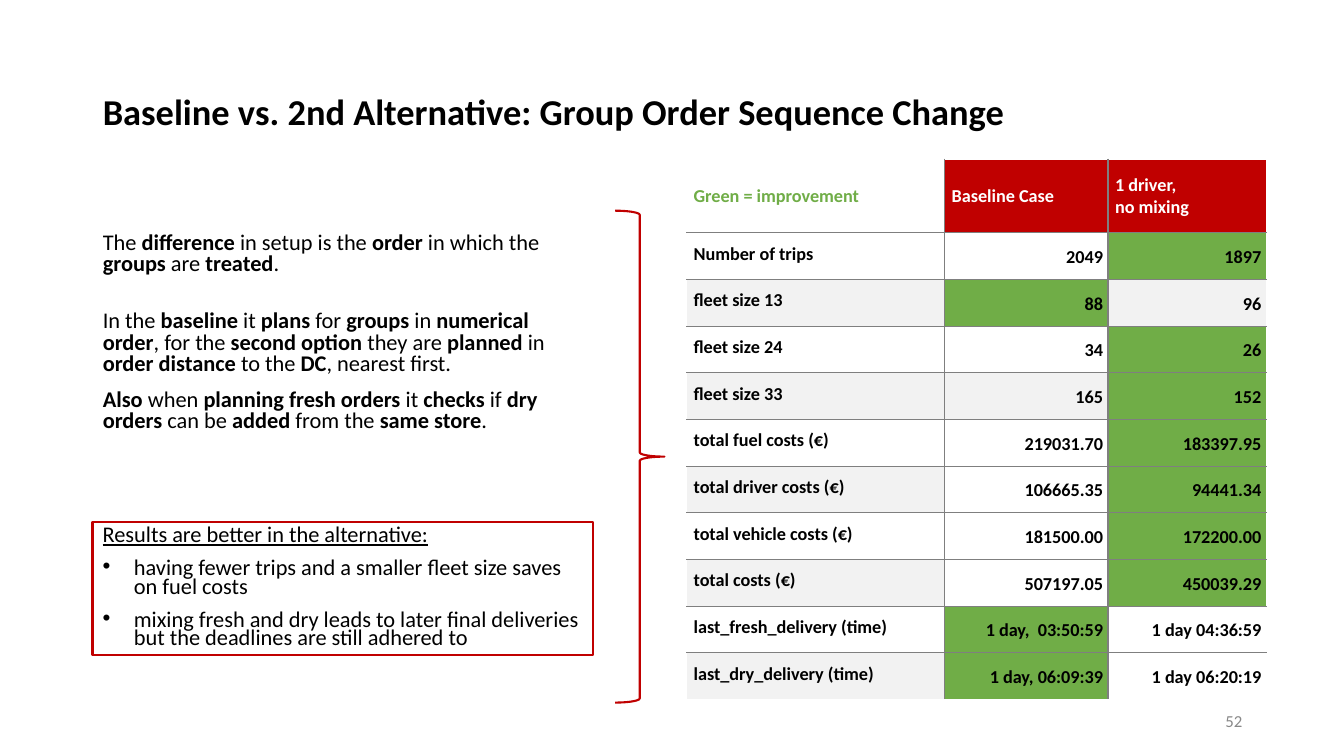
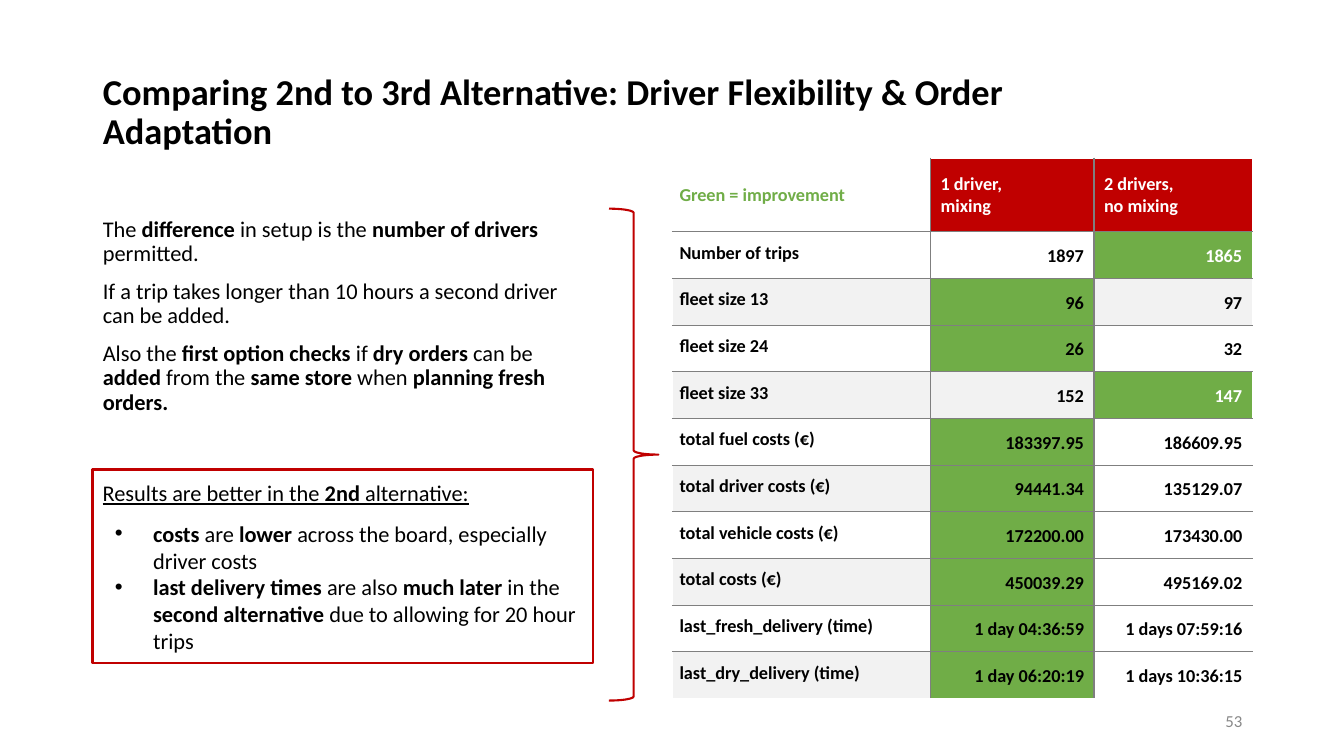
from lxml import etree
from pptx import Presentation
from pptx.dml.color import RGBColor
from pptx.enum import shapes, text
from pptx.oxml import ns
from pptx.util import Inches, Pt

FONT = "Calibri"
BLACK, WHITE, RED, GREEN = "000000", "FFFFFF", "C00000", "70AD47"
RULE, STRIPE, PAGE_GREY = "7F7F7F", "F2F2F2", "888888"
LEFT, TEXT_WIDTH = 0.92, 4.96
COLUMNS = (2.56, 1.62, 1.57)
HEADER_HEIGHT, ROWS_HEIGHT = 0.73, 4.63
LABELS = (
    "Number of trips", "fleet size 13", "fleet size 24", "fleet size 33",
    "total fuel costs (€)", "total driver costs (€)",
    "total vehicle costs (€)", "total costs (€)",
    "last_fresh_delivery (time)", "last_dry_delivery (time)",
)
STRIPED_VALUES = ("fleet size 13", "fleet size 33")


def rgb(value):
    return RGBColor.from_string(value)


def box(*lengths):
    return [Inches(n) for n in lengths]


def sub(parent, tag, **attrs):
    return etree.SubElement(parent, ns.qn(tag), attrs)


def place(sp, *lengths):
    sp.left, sp.top, sp.width, sp.height = box(*lengths)


def add_runs(p, marked, size, color=BLACK, bold=False, underline=False):
    """Add runs to p; pieces between ** are bold and \\n breaks the line."""
    for i, piece in enumerate(marked.split("**")):
        for j, line in enumerate(piece.split("\n")):
            if j:
                p.add_line_break()
            if line:
                r = p.add_run()
                r.text = line
                r.font.name, r.font.size = FONT, Pt(size)
                r.font.bold = bold or i % 2 == 1
                r.font.underline = underline
                r.font.color.rgb = rgb(color)


def set_bullet(p, indent=None):
    """Set a hanging bullet, or remove the inherited one."""
    pPr = p._p.get_or_add_pPr()
    margin, hang = indent or (0, 0)
    pPr.set("marL", str(Inches(margin)))
    pPr.set("indent", str(Inches(hang)))
    if indent:
        sub(sub(pPr, "a:buClr"), "a:srgbClr", val=BLACK)
        sub(pPr, "a:buFont", typeface="Arial")
        sub(pPr, "a:buChar", char="•")
    else:
        sub(pPr, "a:buNone")


def add_paragraph(tf, i, marked, spacing, before=0, indent=None, **style):
    p = tf.paragraphs[0] if i == 0 else tf.add_paragraph()
    set_bullet(p, indent)
    p.alignment = text.PP_ALIGN.LEFT
    p.line_spacing, p.space_before = spacing, Pt(before)
    add_runs(p, marked, **style)


def setup_frame(tf, anchor):
    tf.word_wrap, tf.auto_size = True, text.MSO_AUTO_SIZE.NONE
    tf.vertical_anchor = anchor
    return tf


def add_title(s, title):
    sp = s.shapes.title
    place(sp, LEFT, 0.4, 10.72, 1.45)
    tf = setup_frame(sp.text_frame, text.MSO_ANCHOR.MIDDLE)
    add_paragraph(tf, 0, title, 0.9, size=26, bold=True)


def add_body(s, top, height, spacing, paragraphs):
    """Fill the body placeholder from (space before, text) pairs."""
    sp = s.placeholders[1]
    place(sp, LEFT, top, TEXT_WIDTH, height)
    tf = setup_frame(sp.text_frame, text.MSO_ANCHOR.TOP)
    for i, (before, marked) in enumerate(paragraphs):
        add_paragraph(tf, i, marked, spacing, before, size=16)


def add_outline(s, kind, line_width, *lengths):
    sp = s.shapes.add_shape(kind, *box(*lengths))
    sp.shadow.inherit = False
    sp.fill.background()
    sp.line.color.rgb, sp.line.width = rgb(RED), Pt(line_width)
    return sp


def add_results(s, top, height, spacing, heading, indent, bullets):
    """Draw the framed findings; bullets are (space before, text) pairs."""
    sp = add_outline(s, shapes.MSO_SHAPE.RECTANGLE, 1.75, LEFT, top, TEXT_WIDTH, height)
    tf = setup_frame(sp.text_frame, text.MSO_ANCHOR.MIDDLE)
    add_paragraph(tf, 0, heading, spacing, size=16, underline=True)
    for i, (before, marked) in enumerate(bullets, 1):
        add_paragraph(tf, i, marked, spacing, before, indent, size=16)


def set_borders(cell, sides):
    tcPr = cell._tc.get_or_add_tcPr()
    for side in sides:
        ln = sub(tcPr, "a:ln" + side, w=str(Pt(1)))
        sub(sub(ln, "a:solidFill"), "a:srgbClr", val=RULE)


def fill_cell(cell, content, fill, color, margins, header=False, number=False):
    cell.margin_left, cell.margin_right = box(*margins)
    cell.margin_top = cell.margin_bottom = Inches(0.1)
    cell.vertical_anchor = text.MSO_ANCHOR.MIDDLE if header else text.MSO_ANCHOR.TOP
    if fill:
        cell.fill.solid()
        cell.fill.fore_color.rgb = rgb(fill)
    else:
        cell.fill.background()
    p = cell.text_frame.paragraphs[0]
    if number:
        p.alignment, p.line_spacing = text.PP_ALIGN.RIGHT, 1.15
    add_runs(p, content, 13, color, bold=True)


def add_comparison(s, left, top, headings, values, margins, right_win=BLACK):
    """Draw the table; values holds (first, second, index of the better one)."""
    count = len(LABELS) + 1
    frame = s.shapes.add_table(count, 3, *box(left, top, sum(COLUMNS), HEADER_HEIGHT + ROWS_HEIGHT))
    table = frame.table
    table.first_row = table.horz_banding = False
    for column, width in zip(table.columns, COLUMNS):
        column.width = Inches(width)
    for i, row in enumerate(table.rows):
        row.height = Inches(ROWS_HEIGHT / len(LABELS) if i else HEADER_HEIGHT)
        for j, cell in enumerate(row.cells):
            inner = (("L", j > 0), ("R", j < 2), ("T", i > 0), ("B", i < count - 1))
            set_borders(cell, [side for side, shown in inner if shown])

    label_margins = (0.07, 0.05)
    fill_cell(table.cell(0, 0), "Green = improvement", None, GREEN, label_margins, header=True)
    for j, heading in enumerate(headings, 1):
        fill_cell(table.cell(0, j), heading, RED, WHITE, margins, header=True)
    for i, (label, (*pair, better)) in enumerate(zip(LABELS, values), 1):
        fill_cell(table.cell(i, 0), label, None if i % 2 else STRIPE, BLACK, label_margins)
        for j, value in enumerate(pair):
            plain = STRIPE if label in STRIPED_VALUES else None
            fill = GREEN if j == better else plain
            color = right_win if j == better == 1 else BLACK
            fill_cell(table.cell(i, j + 1), value, fill, color, margins, number=True)


def add_brace(s, left, top):
    add_outline(s, shapes.MSO_SHAPE.RIGHT_BRACE, 1.5, left, top, 0.49, 4.88)


def add_page_number(s, number):
    sp = s.shapes.add_textbox(*box(9.42, 6.95, 3, 0.4))
    tf = setup_frame(sp.text_frame, text.MSO_ANCHOR.MIDDLE)
    p = tf.paragraphs[0]
    p.alignment = text.PP_ALIGN.RIGHT
    add_runs(p, str(number), 12, PAGE_GREY)


def new_slide(prs, title, number):
    s = prs.slides.add_slide(prs.slide_layouts[1])
    add_title(s, title)
    add_page_number(s, number)
    return s


def build_order_sequence(prs):
    s = new_slide(prs, "Baseline vs. 2nd Alternative: Group Order Sequence Change", 52)
    add_body(s, 2.26, 2.64, 0.8, [
        (0, "The **difference** in setup is the **order** in which the **groups** are **treated**."),
        (25.6, "In the **baseline** it **plans** for **groups** in **numerical order**, for the "
               "**second option **they are **planned** in **order distance **to the **DC**, nearest first."),
        (10, "**Also** when **planning fresh orders **it **checks** if **dry orders **can be "
             "**added** from the **same store**."),
    ])
    add_comparison(s, 6.81, 1.58, ("Baseline Case", "1 driver, \nno mixing"), [
        ("2049", "1897", 1),
        ("88", "96", 0),
        ("34", "26", 1),
        ("165", "152", 1),
        ("219031.70", "183397.95", 1),
        ("106665.35", "94441.34", 1),
        ("181500.00", "172200.00", 1),
        ("507197.05", "450039.29", 1),
        ("1 day,  03:50:59", "1 day 04:36:59", 0),
        ("1 day, 06:09:39", "1 day 06:20:19", 0),
    ], margins=(0.07, 0.05))
    add_results(s, 5.18, 1.32, 0.7, "Results are better in the alternative:", (0.31, -0.31), [
        (10, "having fewer trips and a smaller fleet size saves on fuel costs"),
        (10, "mixing fresh and dry leads to later final deliveries but the deadlines are still adhered to"),
    ])
    add_brace(s, 6.1, 2.09)


def build_driver_flexibility(prs):
    s = new_slide(prs, "Comparing 2nd to 3rd Alternative: Driver Flexibility & Order Adaptation", 53)
    add_body(s, 2.11, 2.28, 0.9, [
        (0, "The **difference** in setup is the **number of drivers **permitted."),
        (10, "If a trip takes longer than 10 hours a second driver can be added."),
        (10, "Also the **first option checks **if **dry orders **can be **added** from the "
             "**same store **when **planning fresh orders.**"),
    ])
    add_comparison(s, 6.67, 1.57, ("1 driver, \nmixing", "2 drivers, \nno mixing"), [
        ("1897", "1865", 1),
        ("96", "97", 0),
        ("26", "32", 0),
        ("152", "147", 1),
        ("183397.95", "186609.95", 0),
        ("94441.34", "135129.07", 0),
        ("172200.00", "173430.00", 0),
        ("450039.29", "495169.02", 0),
        ("1 day 04:36:59", "1 days 07:59:16", 0),
        ("1 day 06:20:19", "1 days 10:36:15", 0),
    ], margins=(0.1, 0.1), right_win=WHITE)
    add_results(s, 4.66, 1.92, 1.0, "Results are better in the **2nd **alternative:", (0.5, -0.38), [
        (10, "**costs** are **lower** across the board, especially driver costs"),
        (0, "**last delivery times **are also **much later **in the **second alternative **"
            "due to allowing for 20 hour trips"),
    ])
    add_brace(s, 6.04, 2.07)


def main():
    prs = Presentation()
    prs.slide_width, prs.slide_height = box(13.33, 7.5)
    build_order_sequence(prs)
    build_driver_flexibility(prs)
    prs.save("out.pptx")


if __name__ == "__main__":
    main()
